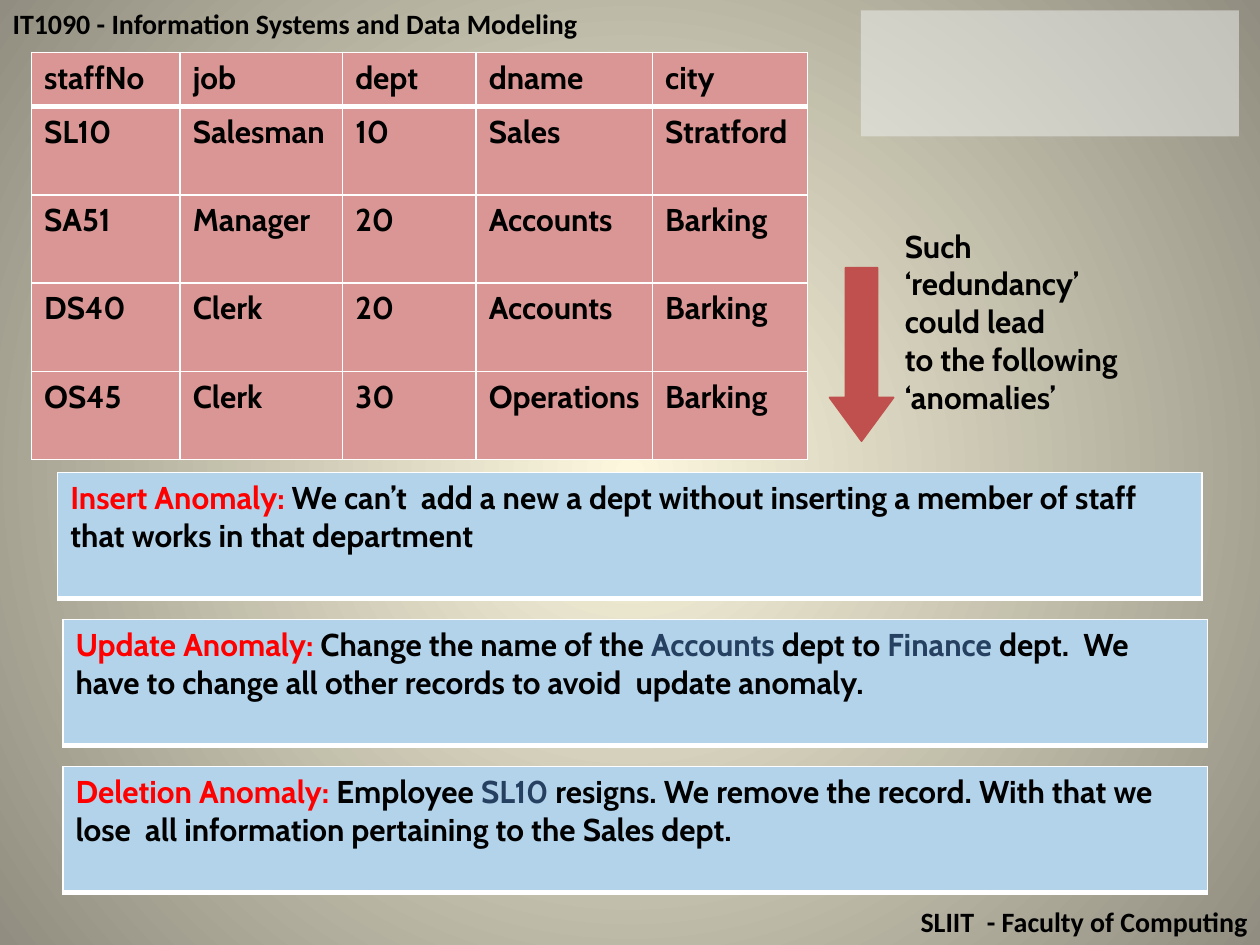
from typing import NamedTuple

from lxml.etree import SubElement
from pptx import Presentation
from pptx.dml.color import RGBColor
from pptx.enum.shapes import MSO_SHAPE
from pptx.enum.text import MSO_ANCHOR, MSO_AUTO_SIZE, PP_ALIGN
from pptx.oxml import parse_xml
from pptx.oxml.ns import nsdecls, qn
from pptx.util import Emu, Inches, Pt

BLACK = RGBColor(0x00, 0x00, 0x00)
WHITE = RGBColor(0xFF, 0xFF, 0xFF)
RED = RGBColor(0xFF, 0x00, 0x00)
NAVY = RGBColor(0x25, 0x40, 0x61)
ROSE = RGBColor(0xD9, 0x96, 0x94)
SKY = RGBColor(0xB3, 0xD3, 0xEA)
BRICK = RGBColor(0xC0, 0x50, 0x4D)
PALE_GREY = RGBColor(0xF2, 0xF2, 0xF2)
CREAM = RGBColor(0xFC, 0xF7, 0xDD)
OLIVE = RGBColor(0x91, 0x8E, 0x81)

# Grid of 120 columns by 90 rows on a 10 x 7.5 inch slide
UNIT = Inches(10) // 120


class Area(NamedTuple):
    col: float
    row: float
    cols: float
    rows: float

    def box(self) -> tuple:
        return tuple(Emu(round(cells * UNIT)) for cells in self)


class Phrase(NamedTuple):
    text: str
    color: RGBColor = BLACK


class Anomaly(NamedTuple):
    area: Area
    phrases: list


STAFF_AREA = Area(3, 5, 74, 38.76)
STAFF_COLUMNS = (1.18, 1.29, 1.06, 1.4, 1.23)
HEADER_HEIGHT, RECORD_HEIGHT = 0.43, 0.7
STAFF_RECORDS = [
    ("staffNo", "job", "dept", "dname", "city"),
    ("SL10", "Salesman", "10", "Sales", "Stratford"),
    ("SA51", "Manager", "20", "Accounts", "Barking"),
    ("DS40", "Clerk", "20", "Accounts", "Barking"),
    ("OS45", "Clerk", "30", "Operations", "Barking"),
]

ANOMALIES = [
    Anomaly(Area(5.5, 45, 109, 12), [
        Phrase("Insert Anomaly: ", RED),
        Phrase("We can’t  add a new a dept without inserting a member of "
               "staff that works in that department"),
    ]),
    Anomaly(Area(6, 59, 109, 12), [
        Phrase("Update Anomaly: ", RED),
        Phrase("Change the name of the "),
        Phrase("Accounts ", NAVY),
        Phrase("dept to "),
        Phrase("Finance ", NAVY),
        Phrase("dept.  We have to change all other records to avoid  "
               "update anomaly."),
    ]),
    Anomaly(Area(6, 73, 109, 12), [
        Phrase("Deletion Anomaly: ", RED),
        Phrase("Employee "),
        Phrase("SL10 ", NAVY),
        Phrase("resigns. We remove the record. With that we lose  all "
               "information pertaining to the Sales dept."),
    ]),
]


def style_font(font, size: float, name: str, color: RGBColor = BLACK) -> None:
    font.size, font.name, font.bold = Pt(size), name, True
    font.color.rgb = color


def write_phrases(paragraph, phrases: list, size: float = 18,
                  name: str = "Cabin") -> None:
    for phrase in phrases:
        run = paragraph.add_run()
        run.text = phrase.text
        style_font(run.font, size, name, phrase.color)


def format_cell(cell, fill: RGBColor, top: float = 1, bottom: float = 1) -> None:
    cell.fill.solid()
    cell.fill.fore_color.rgb = fill
    widths = {"lnL": 1, "lnR": 1, "lnT": top, "lnB": bottom}
    for position, (side, width) in enumerate(widths.items()):
        cell._tc.get_or_add_tcPr().insert(position, parse_xml(
            f'<a:{side} {nsdecls("a")} w="{Pt(width)}"><a:solidFill>'
            f'<a:srgbClr val="{WHITE}"/></a:solidFill></a:{side}>'))


def add_plain_table(slide, area: Area, rows: int, cols: int):
    table = slide.shapes.add_table(rows, cols, *area.box()).table
    table.first_row = table.horz_banding = False
    return table


def add_anomaly(slide, anomaly: Anomaly) -> None:
    cell = add_plain_table(slide, anomaly.area, 1, 1).cell(0, 0)
    write_phrases(cell.text_frame.paragraphs[0], anomaly.phrases)
    format_cell(cell, SKY, bottom=3)


def add_staff_table(slide) -> None:
    table = add_plain_table(slide, STAFF_AREA, len(STAFF_RECORDS),
                            len(STAFF_COLUMNS))
    for column, width in zip(table.columns, STAFF_COLUMNS):
        column.width = Inches(width)
    for r, record in enumerate(STAFF_RECORDS):
        table.rows[r].height = Inches(RECORD_HEIGHT if r else HEADER_HEIGHT)
        for c, value in enumerate(record):
            cell = table.cell(r, c)
            write_phrases(cell.text_frame.paragraphs[0], [Phrase(value)])
            format_cell(cell, ROSE, top=3 if r == 1 else 1,
                        bottom=3 if r == 0 else 1)


def add_text(slide, area: Area, lines: list, size: float, name: str,
             align: PP_ALIGN = PP_ALIGN.LEFT) -> None:
    frame = slide.shapes.add_textbox(*area.box()).text_frame
    frame.word_wrap = True
    frame.auto_size = MSO_AUTO_SIZE.SHAPE_TO_FIT_TEXT
    frame.text = "\n".join(lines)
    for paragraph in frame.paragraphs:
        paragraph.alignment = align
        style_font(paragraph.runs[0].font, size, name)


def add_filled_shape(slide, preset: MSO_SHAPE, area: Area, fill: RGBColor):
    shape = slide.shapes.add_shape(preset, *area.box())
    shape.shadow.inherit = False
    shape.fill.solid()
    shape.fill.fore_color.rgb = fill
    shape.line.fill.background()
    return shape


def paint_background(slide) -> None:
    fill = slide.background.fill
    fill.gradient()
    for stop, color, place in zip(fill.gradient_stops, (CREAM, OLIVE), (0, 1)):
        stop.color.rgb = color
        stop.position = place
    # Turn the linear gradient into one that spreads from the centre
    gradient = slide._element.find(".//" + qn("a:gradFill"))
    gradient.remove(gradient.find(qn("a:lin")))
    gradient.append(parse_xml(
        f'<a:path {nsdecls("a")} path="circle"><a:fillToRect l="50000" '
        't="50000" r="50000" b="50000"/></a:path>'))


def main() -> None:
    deck = Presentation()
    deck.slide_width, deck.slide_height = 120 * UNIT, 90 * UNIT
    slide = deck.slides.add_slide(deck.slide_layouts[5])
    paint_background(slide)

    # Course heading and faculty footer
    heading = slide.shapes.title
    heading.left, heading.top, heading.width, heading.height = Area(
        0, 0, 120, 4.44).box()
    heading.text_frame.text = "IT1090 - Information Systems and Data Modeling"
    heading.text_frame.vertical_anchor = MSO_ANCHOR.TOP
    heading.text_frame.auto_size = MSO_AUTO_SIZE.NONE
    heading.text_frame.paragraphs[0].alignment = PP_ALIGN.LEFT
    style_font(heading.text_frame.paragraphs[0].runs[0].font, 16, "Calibri")
    add_text(slide, Area(0, 85.56, 120, 4.44),
             ["SLIIT  - Faculty of Computing"], 16, "Calibri", PP_ALIGN.RIGHT)

    # Translucent corner panel
    panel = add_filled_shape(slide, MSO_SHAPE.RECTANGLE,
                             Area(82, 1, 36, 12), PALE_GREY)
    panel_color = panel._element.spPr.find(".//" + qn("a:srgbClr"))
    SubElement(panel_color, qn("a:alpha")).set("val", "50000")

    # Anomalies and the staff records that cause them
    for anomaly in ANOMALIES:
        add_anomaly(slide, anomaly)
    add_staff_table(slide)

    # Remark with its arrow
    add_text(slide, Area(85, 21, 23, 23),
             ["Such ‘redundancy’ could lead", "to the following ‘anomalies’"],
             18, "Cabin")
    arrow = add_filled_shape(slide, MSO_SHAPE.DOWN_ARROW,
                             Area(79, 25.5, 6.1, 16.5), BRICK)
    arrow.adjustments[0], arrow.adjustments[1] = 0.5, 0.68
    arrow.line.color.rgb = BRICK
    arrow.line.width = Pt(1)

    deck.save("out.pptx")


if __name__ == "__main__":
    main()
